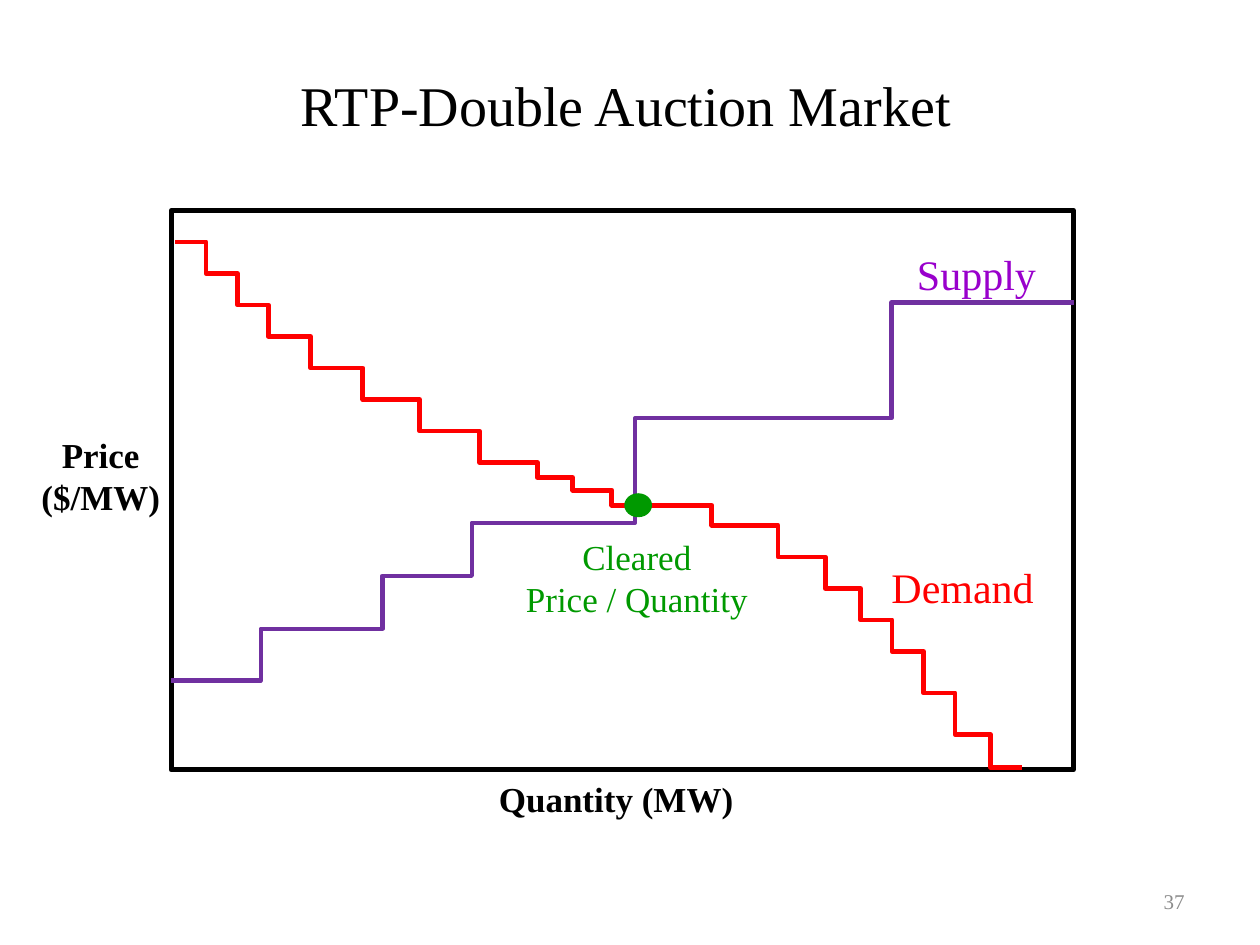
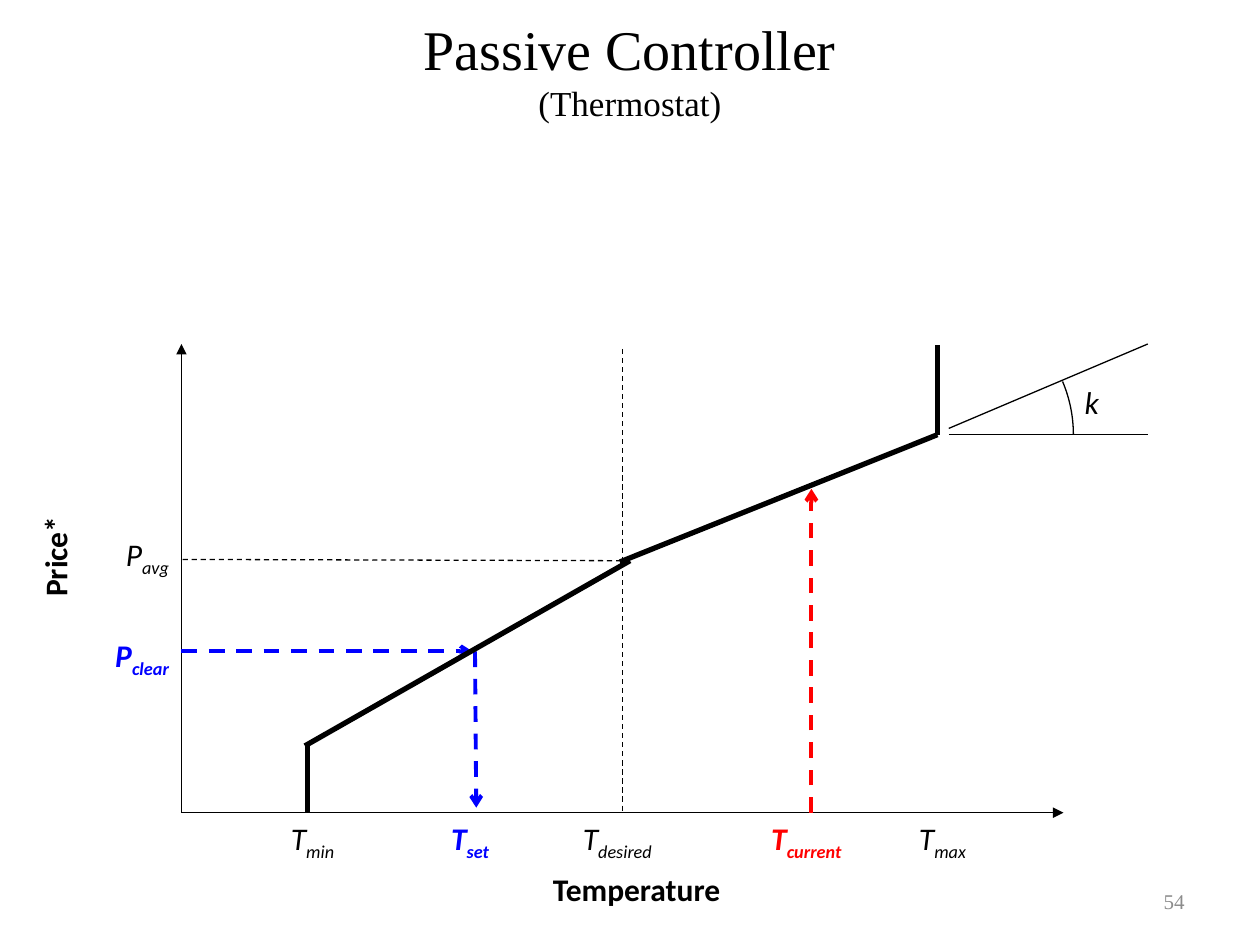
import dataclasses
import itertools
import pptx
import pptx.dml.color
import pptx.enum.dml
import pptx.enum.shapes
import pptx.enum.text
import pptx.oxml
import pptx.oxml.ns
import pptx.util

SCALE = 9144
SHAPE = pptx.enum.shapes.MSO_SHAPE
LINK = pptx.enum.shapes.MSO_CONNECTOR
ALIGN = pptx.enum.text.PP_ALIGN
LEFT, MID, RIGHT = ALIGN.LEFT, ALIGN.CENTER, ALIGN.RIGHT


@dataclasses.dataclass(frozen=True)
class Theme:
    serif: str = "Times New Roman"
    sans: str = "Calibri"
    black: str = "000000"
    gray: str = "8C8C8C"
    red: str = "FF0000"
    blue: str = "0000FF"
    green: str = "009900"
    violet: str = "9900CC"
    purple: str = "7030A0"
    title: int = 32
    curve: int = 24
    label: int = 20
    axis: int = 18
    foot: int = 12
    thin: float = 0.75
    dashed: float = 2.25
    supply: float = 2.5
    demand: float = 2.75
    thick: float = 3


T = Theme()
SIZE = (1000, 750)
FOOT = (717, 695, 233, 40)

AUCTION = {
    "title": ("RTP-Double Auction Market", "", (53, 42, 888, 81)),
    "page": "37",
    "frame": (136, 167, 716, 444),
    "point": (496, 392, 21, 18),
    "labels": [
        ("Demand", (686, 441, 156, 50), T.curve, T.red, False, MID, True),
        ("Supply", (717, 192, 116, 50), T.curve, T.violet, False, MID, False),
        ("Cleared\nPrice / Quantity", (407, 420, 197, 77), T.label, T.green, False, MID, False),
        ("Quantity (MW)", (327, 612, 265, 54), T.label, T.black, True, RIGHT, False),
        ("Price\v($/MW)", (8, 339, 144, 96), T.label, T.black, True, MID, False),
    ],
    "curves": [
        (T.purple, T.supply, [540, 499, 457, 415, 332, 240],
         [(136, 278), (233, 374), (304, 445), (437, 571), (563, 852)], {}),
        (T.red, T.demand,
         [192, 217, 242, 267, 292, 317, 342, 367, 379, 389,
          401, 417, 442, 467, 492, 517, 550, 583, 609],
         [(139, 188), (164, 213), (188, 238), (222, 271), (263, 313), (308, 358),
          (356, 405), (398, 455), (426, 480), (466, 538), (529, 601), (580, 655),
          (630, 680), (658, 708), (683, 733), (708, 758), (733, 783), (761, 811)],
         {8: 52900, 9: 27300}),
    ],
}

CONTROL = {
    "title": ("Passive Controller", "(Thermostat)", (50, -8, 900, 125)),
    "page": "54",
    "angle": (744, 345, 108, 337),
    "names": [
        ("Temperature", (429, 686, 172, 40), 0),
        ("Price*", (-2, 418, 91, 40), 270),
    ],
    "slope": ("k", (851, 299, 33, 40)),
    "ticks": [
        ("T", "max", 694, 645, T.black, False, MID),
        ("T", "min", 194, 645, T.black, False, MID),
        ("T", "current", 586, 645, T.red, True, MID),
        ("T", "set", 319, 645, T.blue, True, MID),
        ("T", "desired", 436, 645, T.black, False, MID),
        ("P", "avg", 36, 420, T.black, False, RIGHT),
        ("P", "clear", 36, 500, T.blue, True, RIGHT),
    ],
    "lines": [
        (T.black, T.thin, False, None, [(753, 340, 911, 273), (753, 345, 911, 345)]),
        (T.black, T.thin, False, "triangle", [(144, 645, 844, 645), (144, 645, 144, 273)]),
        (T.black, T.thin, True, None,
         [(494, 453, 494, 645), (493, 445, 145, 444), (494, 277, 494, 446)]),
        (T.red, T.dashed, True, "arrow", [(644, 645, 644, 388)]),
        (T.blue, T.dashed, True, "arrow", [(144, 517, 375, 517), (377, 517, 378, 641)]),
        (T.black, T.thick, False, None,
         [(244, 645, 244, 592), (492, 446, 744, 345), (744, 345, 744, 274),
          (242, 592, 500, 445)]),
    ],
}


def emu(box):
    return [part * SCALE for part in box]


def tint(code):
    return pptx.dml.color.RGBColor.from_string(code)


def write(slide, box, text, size, color=T.black, face=T.serif, bold=False,
          slant=False, align=MID, wrap=True, grow=True):
    shape = slide.shapes.add_textbox(*emu(box))
    frame = shape.text_frame
    frame.word_wrap = wrap
    if grow:
        frame.auto_size = pptx.enum.text.MSO_AUTO_SIZE.SHAPE_TO_FIT_TEXT
    else:
        frame.vertical_anchor = pptx.enum.text.MSO_ANCHOR.MIDDLE
    frame.text = text
    for para in frame.paragraphs:
        para.alignment = align
        font = para.font
        font.name, font.size = face, pptx.util.Pt(size)
        font.bold, font.italic = bold, slant
        font.color.rgb = tint(color)
    return shape


def stroke(shape, color, width):
    shape.line.color.rgb = tint(color)
    shape.line.width = pptx.util.Pt(width)


def link(slide, ends, color, width, kind=LINK.STRAIGHT):
    line = slide.shapes.add_connector(kind, *emu(ends))
    stroke(line, color, width)
    pptx.oxml.ns.qn("a:effectLst")
    add(line._element.spPr, "a:effectLst")
    return line


def add(node, tag, **attrs):
    child = node.makeelement(pptx.oxml.ns.qn(tag), attrs)
    node.append(child)
    return child


def outline(slide, kind, box, color, width, fill=None):
    shape = slide.shapes.add_shape(kind, *emu(box))
    shape.shadow.inherit = False
    if fill:
        shape.fill.solid()
        shape.fill.fore_color.rgb = tint(fill)
    else:
        shape.fill.background()
    stroke(shape, color, width)
    return shape


def start(deck, data):
    slide = deck.slides.add_slide(deck.slide_layouts[6])
    head, sub, box = data["title"]
    para = write(slide, box, head, T.title, grow=False).text_frame.paragraphs[0]
    if sub:
        para.add_line_break()
        run = para.add_run()
        run.text = sub
        run.font.size = pptx.util.Pt(T.label)
    write(slide, FOOT, data["page"], T.foot, T.gray, align=RIGHT, grow=False)
    return slide


def auction(deck, data):
    slide = start(deck, data)
    for text, box, size, color, bold, align, wrap in data["labels"]:
        write(slide, box, text, size, color, bold=bold, align=align, wrap=wrap)
    outline(slide, SHAPE.RECTANGLE, data["frame"], T.black, T.thick)
    for color, width, levels, spans, bends in data["curves"]:
        steps = zip(spans, itertools.pairwise(levels))
        for step, ((left, right), (first, last)) in enumerate(steps):
            line = link(slide, (left, first, right, last), color, width, LINK.ELBOW)
            if step in bends:
                guides = line._element.spPr.prstGeom.get_or_add_avLst()
                add(guides, "a:gd", name="adj1", fmla=f"val {bends[step]}")
    outline(slide, SHAPE.OVAL, data["point"], T.green, T.thin, T.green)


def control(deck, data):
    slide = start(deck, data)
    x, y, reach, turn = data["angle"]
    box = (x - reach, y - reach, 2 * reach, 2 * reach)
    arc = outline(slide, SHAPE.ARC, box, T.black, T.thin)
    arc.adjustments[0] = turn * 0.6
    arc.adjustments[1] = 0
    for text, box, turn in data["names"]:
        name = write(slide, box, text, T.axis, face=T.sans, bold=True, align=LEFT, wrap=False)
        name.rotation = turn
    text, box = data["slope"]
    write(slide, box, text, T.axis, face=T.sans, slant=True, align=LEFT, wrap=False)
    for base, sub, left, top, color, bold, align in data["ticks"]:
        tick = write(slide, (left, top, 108, 40), base, T.axis, color, T.sans,
                     bold, True, align)
        run = tick.text_frame.paragraphs[0].add_run()
        run.text = sub
        run._r.get_or_add_rPr().set("baseline", "-25000")
    for color, width, dash, tip, group in data["lines"]:
        for ends in group:
            line = link(slide, ends, color, width)
            if dash:
                line.line.dash_style = pptx.enum.dml.MSO_LINE.DASH
            if tip:
                add(line.line._get_or_add_ln(), "a:tailEnd", type=tip)


def main():
    deck = pptx.Presentation()
    deck.slide_width, deck.slide_height = emu(SIZE)
    auction(deck, AUCTION)
    control(deck, CONTROL)
    deck.save("out.pptx")


if __name__ == "__main__":
    main()
